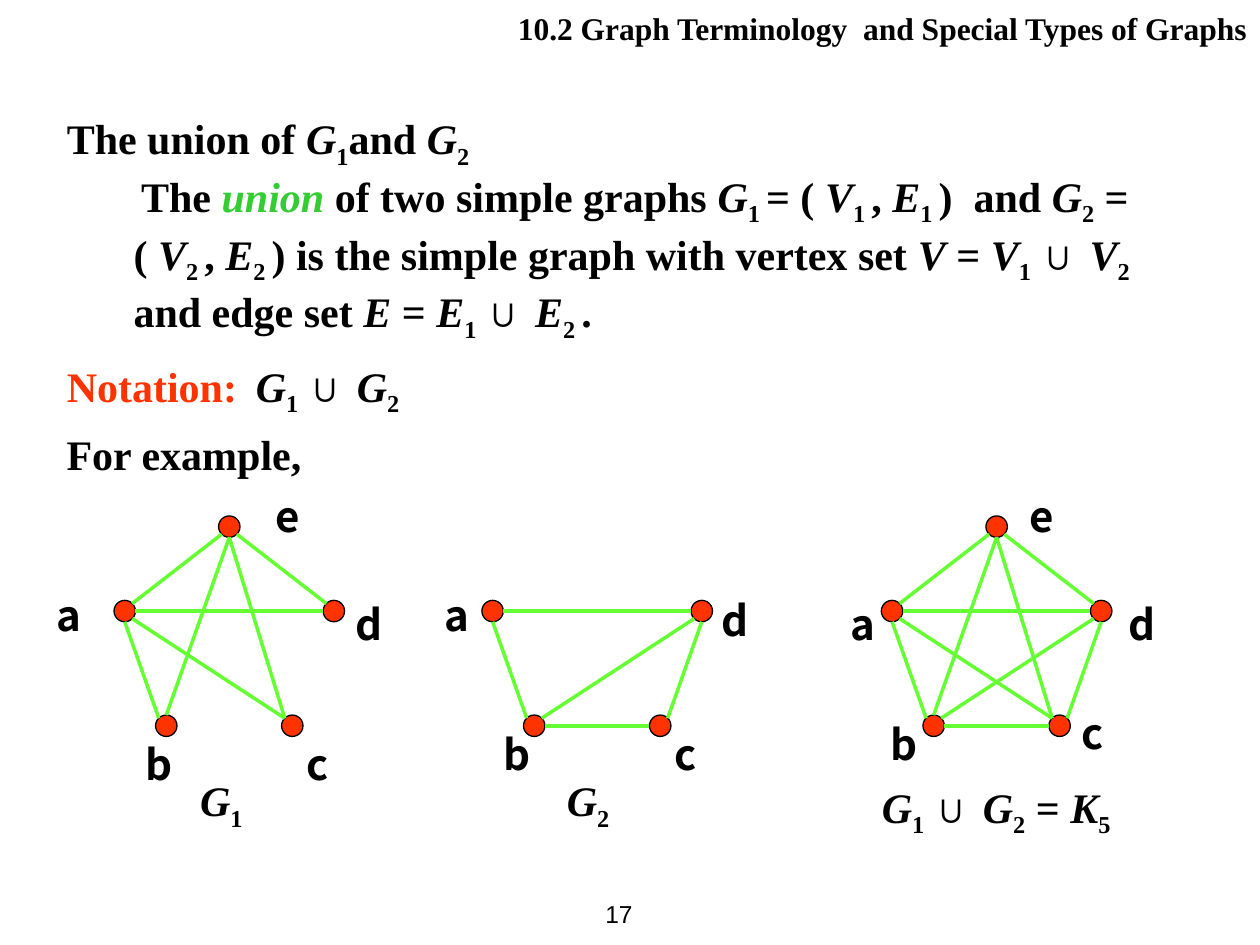
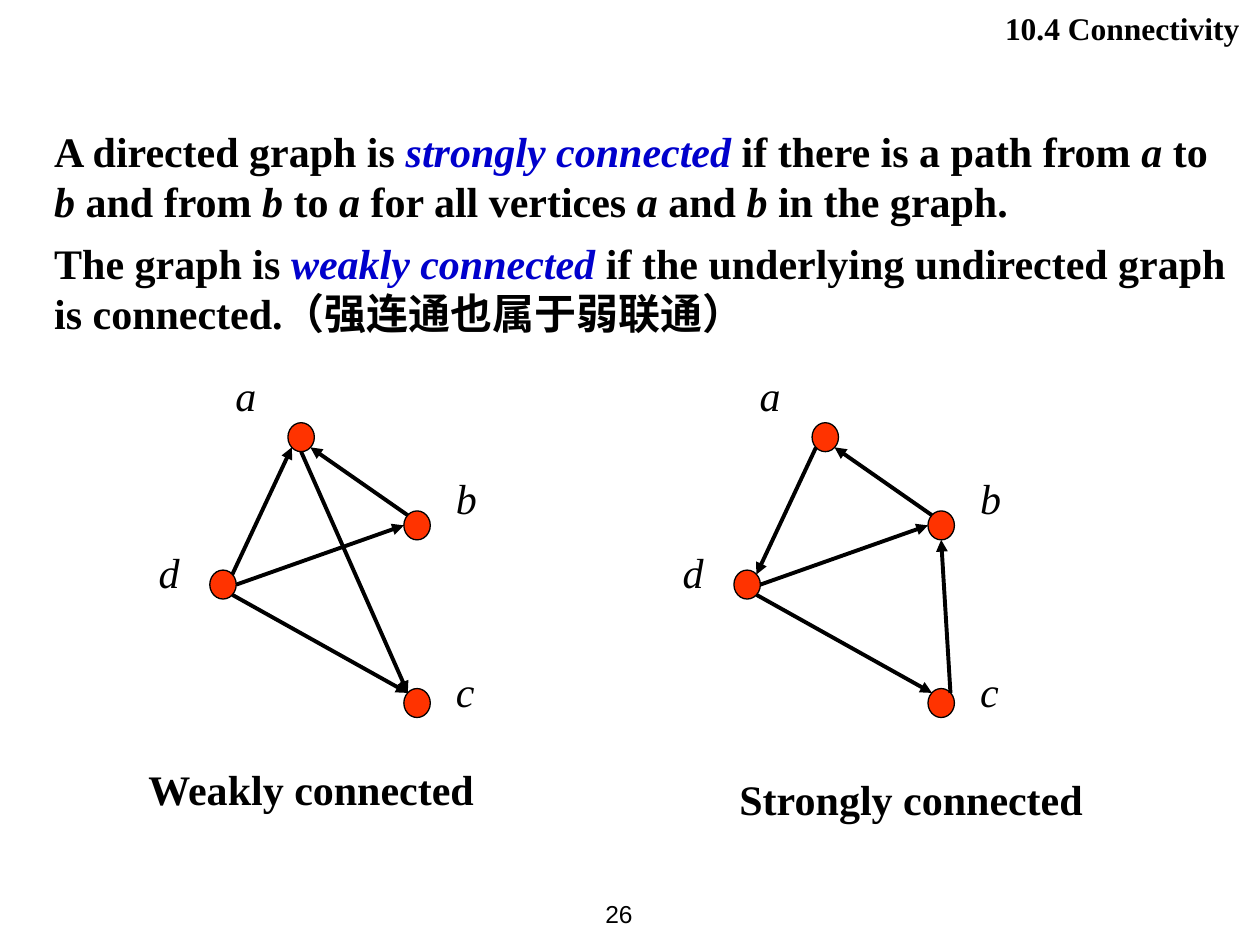
from lxml.etree import SubElement
from pptx import Presentation
from pptx.dml.color import RGBColor
from pptx.enum.shapes import MSO_CONNECTOR, MSO_SHAPE
from pptx.enum.text import MSO_ANCHOR, MSO_AUTO_SIZE, PP_ALIGN
from pptx.oxml.ns import qn
from pptx.util import Inches, Pt

BLACK = RGBColor(0x00, 0x00, 0x00)
NODE_RED = RGBColor(0xFF, 0x33, 0x00)
EDGE_GREEN = RGBColor(0x66, 0xFF, 0x33)
TERM_GREEN = RGBColor(0x33, 0xCC, 0x33)
TERM_BLUE = RGBColor(0x00, 0x00, 0xCC)
SERIF, SANS, CJK = "Times New Roman", "Arial", "Noto Sans CJK SC"

SITES = {"t": (0, -1), "b": (0, 1), "l": (-1, 0), "r": (1, 0),
         "tl": (-0.7, -0.7), "tr": (0.7, -0.7),
         "bl": (-0.7, 0.7), "br": (0.7, 0.7)}

UNION_TEXT = [
    {"text": "The union of *G*_1_and *G*_2_"},
    {"text": "The *^union^* of two simple graphs *G*_1 _= ( *V*_1 _, *E*_1 _)  and "
             "*G*_2_ = ( *V*_2 _, *E*_2 _) is the simple graph with vertex set "
             "*V* = *V*_1 _∪ *V*_2_ and edge set *E* = *E*_1 _∪ *E*_2 _.",
     "accent": TERM_GREEN, "margin": 0.53, "indent": 0.06},
    {"text": "^Notation:^\t*G*_1 _∪ *G*_2_", "accent": NODE_RED,
     "tab": 1.77, "before": 9.6},
]
CONNECTED_TEXT = [
    {"text": "A directed graph is *^strongly connected ^*if there is a path from *a* to "
             "*b* and from *b* to *a* for all vertices *a* and *b* in the graph.",
     "accent": TERM_BLUE},
    {"text": "The graph is *^weakly connected ^*if the underlying undirected graph "
             "is connected.（强连通也属于弱联通）", "accent": TERM_BLUE, "before": 7.2},
]

PENTAGON = {"a": (0.09, 4.85), "b": (0.42, 5.76), "c": (1.42, 5.76),
            "d": (1.75, 4.85), "e": (0.92, 4.18)}
PENTAGON_EDGES = {"ab": "b tl", "bc": "r l", "cd": "tr b", "de": "tl br",
                  "ae": "tr bl", "eb": "b t", "ec": "b tl", "ad": "r l",
                  "ac": "br tl", "bd": "tr bl"}
UNION_GRAPHS = [
    {"left": 6.99, "nodes": "bcade", "edges": "ab bc cd de ae eb ec ad ac bd",
     "labels": {"a": (6.65, 4.69), "b": (6.97, 5.64), "c": (8.47, 5.56),
                "d": (8.86, 4.69), "e": (8.07, 3.83)},
     "caption": "*G*_1 _∪ *G*_2_ = *K*_5_", "caption_box": (6.9, 6.15, 2.5, 0.57)},
    {"left": 3.82, "nodes": "bcad", "edges": "ab bc cd ad bd",
     "labels": {"a": (3.43, 4.62), "b": (3.9, 5.72), "c": (5.24, 5.72),
                "d": (5.63, 4.66)},
     "caption": "*G*_2_", "caption_box": (4.4, 6.1, 0.71, 0.5)},
    {"left": 0.9, "nodes": "bcade", "edges": "ab de ae eb ec ad ac",
     "labels": {"a": (0.35, 4.62), "b": (1.06, 5.8), "c": (2.32, 5.8),
                "d": (2.72, 4.69), "e": (2.09, 3.83)},
     "caption": "*G*_1_", "caption_box": (1.49, 6.1, 0.71, 0.5)},
]

KITE = {"a": (0.72, 3.47), "b": (1.64, 4.17), "c": (1.64, 5.58), "d": (0.1, 4.64)}
KITE_LABELS = {"a": (0.1, 2.88), "b": (1.85, 3.7), "c": (1.85, 5.23), "d": (-0.51, 4.29)}
KITE_EDGES = {"ba": "tl br", "db": "r l", "dc": "br tl"}
DIRECTED_GRAPHS = [
    {"left": 1.67, "edges": {**KITE_EDGES, "da": "tr bl", "ac": "b tl"},
     "caption": "Weakly connected", "caption_box": (1.08, 6.01, 2.99, 0.63)},
    {"left": 5.83, "edges": {**KITE_EDGES, "ad": "bl tr", "cb": "tr b"},
     "caption": "Strongly connected", "caption_box": (5.77, 6.09, 2.99, 0.63)},
]


def set_values(target, values):
    for name, value in values.items():
        setattr(target, name, value)


def add_runs(paragraph, text, accent, font_values):
    marks = {"*": False, "_": False, "^": False}
    for mark in marks:
        text = text.replace(mark, "|" + mark)
    for chunk in text.split("|"):
        if chunk[:1] in marks:
            marks[chunk[0]] = not marks[chunk[0]]
            chunk = chunk[1:]
        if not chunk:
            continue
        run = paragraph.add_run()
        run.text = chunk
        set_values(run.font, {"bold": True, **font_values})
        if marks["*"]:
            run.font.italic = True
        run.font.color.rgb = accent if marks["^"] else BLACK
        properties = run._r.get_or_add_rPr()
        if marks["_"]:
            properties.set("baseline", "-25000")
        SubElement(properties, qn("a:ea"), typeface=CJK)


def fill_text(shape, box, paragraphs, size=24, font=SERIF, align=PP_ALIGN.LEFT,
              anchor=MSO_ANCHOR.TOP, spacing=None, **font_values):
    set_values(shape, dict(zip(("left", "top", "width", "height"), map(Inches, box))))
    frame = shape.text_frame
    set_values(frame, {"word_wrap": True, "auto_size": MSO_AUTO_SIZE.NONE,
                       "vertical_anchor": anchor})
    for index, content in enumerate(paragraphs):
        paragraph = frame.add_paragraph() if index else frame.paragraphs[0]
        properties = paragraph._p.get_or_add_pPr()
        properties.set("marL", str(Inches(content.get("margin", 0))))
        properties.set("indent", str(Inches(content.get("indent", 0))))
        SubElement(properties, qn("a:buNone"))
        if "tab" in content:
            tabs = SubElement(properties, qn("a:tabLst"))
            SubElement(tabs, qn("a:tab"), pos=str(Inches(content["tab"])), algn="l")
        set_values(paragraph, {"alignment": align, "space_before": Pt(content.get("before", 0)),
                               "line_spacing": Pt(spacing) if spacing else 1.0})
        add_runs(paragraph, content["text"], content.get("accent", BLACK),
                 {"name": font, "size": Pt(size), **font_values})


def add_text(slide, box, text, **values):
    shape = slide.shapes.add_textbox(*map(Inches, box))
    fill_text(shape, box, [{"text": text}], **values)


def add_graph(slide, left, nodes, edges, size, color, width, arrow=False):
    centers = {name: (left + x, y) for name, (x, y) in nodes.items()}
    for x, y in centers.values():
        node = slide.shapes.add_shape(
            MSO_SHAPE.FLOWCHART_CONNECTOR, Inches(x - size[0] / 2),
            Inches(y - size[1] / 2), *map(Inches, size))
        node.shadow.inherit = False
        node.fill.solid()
        node.fill.fore_color.rgb = NODE_RED
        node.line.color.rgb = BLACK
        node.line.width = Pt(0.75)
    for ends, sites in edges.items():
        points = []
        for name, site in zip(ends, sites.split()):
            for center, share, length in zip(centers[name], SITES[site], size):
                points.append(Inches(center + share * length / 2))
        edge = slide.shapes.add_connector(MSO_CONNECTOR.STRAIGHT, *points)
        edge.line.color.rgb = color
        edge.line.width = Pt(width)
        if arrow:
            SubElement(edge.line._get_or_add_ln(), qn("a:tailEnd"), type="triangle")
        SubElement(edge._element.spPr, qn("a:effectLst"))


def add_content_slide(presentation, title, number, box, paragraphs, spacing):
    slide = presentation.slides.add_slide(presentation.slide_layouts[1])
    fill_text(slide.shapes.title, (3.5, 0.02, 6.5, 0.4), [{"text": title}],
              size=18, align=PP_ALIGN.RIGHT)
    fill_text(slide.placeholders[1], box, paragraphs, spacing=spacing)
    add_text(slide, (4.45, 7, 0.67, 0.5), number, size=14, font=SANS, bold=False,
             align=PP_ALIGN.RIGHT, anchor=MSO_ANCHOR.MIDDLE)
    return slide


def add_union_slide(presentation):
    slide = add_content_slide(presentation, "10.2 Graph Terminology  and Special Types of Graphs",
                              "17", (0.43, 0.84, 9.21, 2.5), UNION_TEXT, 33)
    add_text(slide, (0.43, 3.36, 9.08, 0.5), "For example,", spacing=28.5)
    for graph in UNION_GRAPHS:
        nodes = {name: PENTAGON[name] for name in graph["nodes"]}
        edges = {ends: PENTAGON_EDGES[ends] for ends in graph["edges"].split()}
        add_graph(slide, graph["left"], nodes, edges, (0.17, 0.17), EDGE_GREEN, 2)
        add_text(slide, graph["caption_box"], graph["caption"])
        for name, corner in graph["labels"].items():
            add_text(slide, (*corner, 0.39, 0.51), name, font=CJK,
                     align=PP_ALIGN.RIGHT, spacing=29.5)


def add_connectivity_slide(presentation):
    slide = add_content_slide(presentation, "10.4 Connectivity ", "26",
                              (0.33, 0.95, 9.57, 1.97), CONNECTED_TEXT, 28.5)
    for graph in DIRECTED_GRAPHS:
        add_graph(slide, graph["left"], KITE, graph["edges"], (0.21, 0.23), BLACK, 2.25, True)
        for name, (x, y) in KITE_LABELS.items():
            add_text(slide, (graph["left"] + x, y, 0.82, 0.7), name, bold=False, italic=True)
        add_text(slide, graph["caption_box"], graph["caption"])


def main():
    presentation = Presentation()
    presentation.slide_width, presentation.slide_height = Inches(10), Inches(7.5)
    add_union_slide(presentation)
    add_connectivity_slide(presentation)
    presentation.save("out.pptx")


if __name__ == "__main__":
    main()
